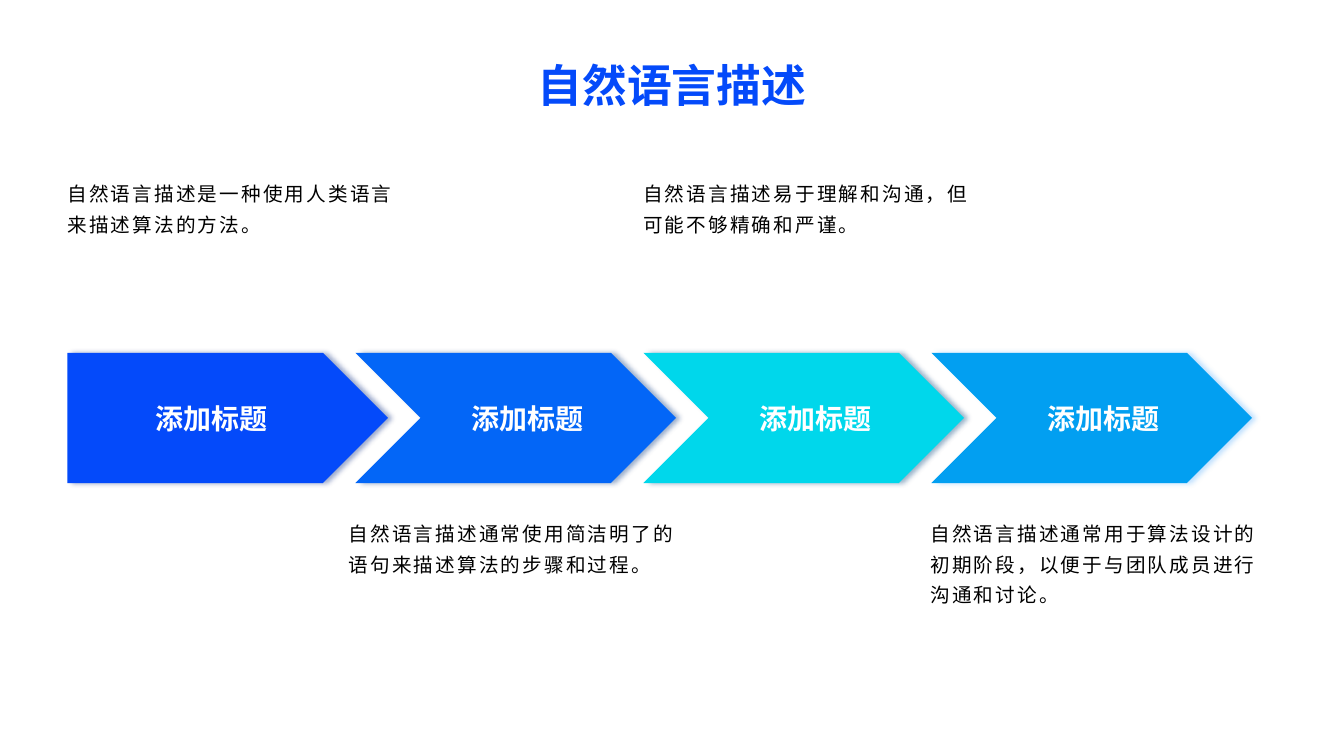
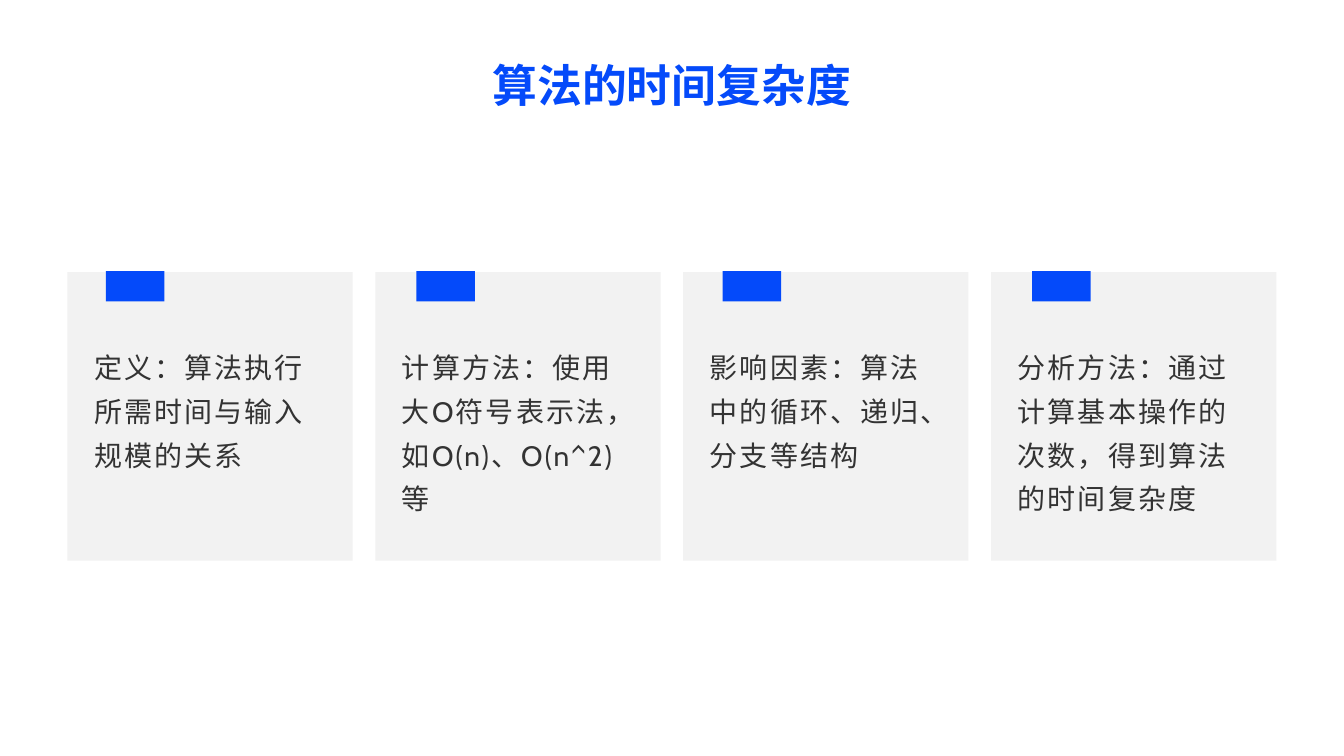
from lxml import etree
from pptx import Presentation
from pptx.dml.color import RGBColor as Rgb
from pptx.enum.shapes import MSO_SHAPE as Preset
from pptx.enum.text import MSO_ANCHOR as Anchor, MSO_AUTO_SIZE as Fit, PP_ALIGN as Align
from pptx.oxml import parse_xml
from pptx.oxml.ns import nsdecls, qn
from pptx.util import Pt

COLORS = {
    "blue": "044AFA", "royal": "0366F7", "cyan": "00D7EB", "sky": "029FF1",
    "card": "F2F2F2", "white": "FFFFFF", "black": "000000", "dark": "333333",
    "blue_shadow": "02257D", "royal_shadow": "01337C",
    "cyan_shadow": "01417A", "sky_shadow": "62B4FE",
}
INSETS = {"margin_left": Pt(7.2), "margin_right": Pt(7.2),
          "margin_top": Pt(3.6), "margin_bottom": Pt(3.6)}
CENTERED = {"alignment": Align.CENTER}
STYLES = {
    "title": {
        "frame": {**INSETS, "margin_top": 0, "margin_bottom": 0, "vertical_anchor": Anchor.BOTTOM},
        "paragraph": CENTERED,
        "font": {"name": "Karla", "size": Pt(32), "bold": True},
        "color": "blue", "tracking": 0},
    "step": {
        "frame": {**INSETS, "vertical_anchor": Anchor.MIDDLE},
        "paragraph": CENTERED,
        "font": {"name": "Karla", "size": Pt(20), "bold": True},
        "color": "white", "tracking": 0},
    "caption": {
        "frame": {**INSETS, "margin_left": 0},
        "paragraph": {"line_spacing": 1.3, "space_after": Pt(10)},
        "font": {"name": "Cabin", "size": Pt(14)},
        "color": "black", "tracking": 150},
    "card": {
        "frame": INSETS,
        "paragraph": {"line_spacing": 1.3},
        "font": {"name": "Cabin", "size": Pt(20)},
        "color": "dark", "tracking": 150},
}


def write(holder, text, style_name):
    style = STYLES[style_name]
    frame = holder.text_frame
    frame.word_wrap = True
    frame.auto_size = Fit.NONE
    paragraph = frame.paragraphs[0]
    run = paragraph.add_run()
    run.text = text
    for target, part in ((frame, "frame"), (paragraph, "paragraph"), (run.font, "font")):
        for attribute, value in style[part].items():
            setattr(target, attribute, value)
    run.font.color.rgb = Rgb.from_string(COLORS[style["color"]])
    if style["tracking"]:
        run._r.get_or_add_rPr().set("spc", str(style["tracking"]))


def add_block(slide, preset, box, color):
    block = slide.shapes.add_shape(preset, *map(Pt, box))
    block.shadow.inherit = False
    block.fill.solid()
    block.fill.fore_color.rgb = Rgb.from_string(COLORS[color])
    block.line.fill.background()
    return block


deck = Presentation()
deck.slide_width, deck.slide_height = Pt(960), Pt(540)

slides = []
for heading in ("自然语言描述", "算法的时间复杂度"):
    slide = deck.slides.add_slide(deck.slide_layouts[5])
    title = slide.shapes.title
    title.left, title.top, title.width, title.height = map(Pt, (48, 34.5, 864, 45.5))
    write(title, heading, "title")
    slides.append(slide)
process, complexity = slides

LEFT = 48.2
STEP_PITCH = 205.7
UPPER, LOWER = 121.7, 364.3
steps = [
    ("blue", 48.2, UPPER, "自然语言描述是一种使用人类语言来描述算法的方法。"),
    ("royal", 249.1, LOWER, "自然语言描述通常使用简洁明了的语句来描述算法的步骤和过程。"),
    ("cyan", 459.4, UPPER, "自然语言描述易于理解和沟通，但可能不够精确和严谨。"),
    ("sky", 664.6, LOWER, "自然语言描述通常用于算法设计的初期阶段，以便于与团队成员进行沟通和讨论。"),
]
for index, (color, caption_left, caption_top, description) in enumerate(steps):
    preset = Preset.CHEVRON if index else Preset.PENTAGON
    arrow = add_block(process, preset, (LEFT + index * STEP_PITCH, 252, 229, 93), color)
    shadow = parse_xml(
        f'<a:outerShdw {nsdecls("a")} blurRad="{Pt(4)}" dist="{Pt(3)}" dir="0" algn="l" rotWithShape="0"/>')
    tint = etree.SubElement(shadow, qn("a:srgbClr"), val=COLORS[color + "_shadow"])
    etree.SubElement(tint, qn("a:alpha"), val="40000")
    arrow._element.spPr.find(qn("a:effectLst")).append(shadow)
    write(arrow, "添加标题", "step")
    if index:
        arrow.text_frame.margin_left = Pt(17.3)
        arrow.text_frame.margin_right = 0
    caption = process.shapes.add_textbox(*map(Pt, (caption_left, caption_top, 247, 110)))
    write(caption, description, "caption")

CARD_PITCH = 219.9
cards = [
    (75.6, "定义：算法执行所需时间与输入规模的关系"),
    (297.4, "计算方法：使用大O符号表示法，如O(n)、O(n^2)等"),
    (516.2, "影响因素：算法中的循环、递归、分支等结构"),
    (737.3, "分析方法：通过计算基本操作的次数，得到算法的时间复杂度"),
]
for index, (tab_left, point) in enumerate(cards):
    card_left = LEFT + index * CARD_PITCH
    add_block(complexity, Preset.RECTANGLE, (card_left, 194.4, 203.8, 206), "card")
    add_block(complexity, Preset.RECTANGLE, (tab_left, 193.7, 41.8, 21.6), "blue")
    body = complexity.shapes.add_textbox(*map(Pt, (card_left + 11.9, 239.8, 179.3, 144.7)))
    write(body, point, "card")

deck.save("out.pptx")
